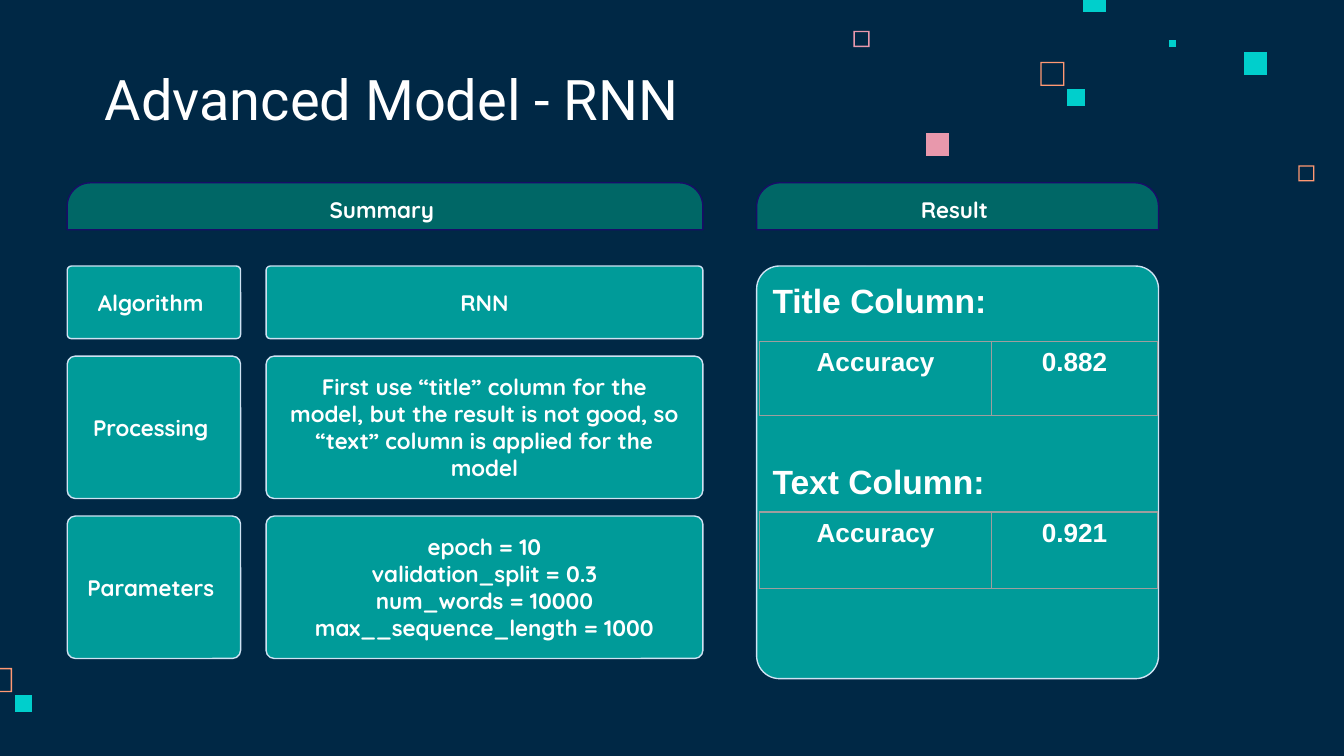
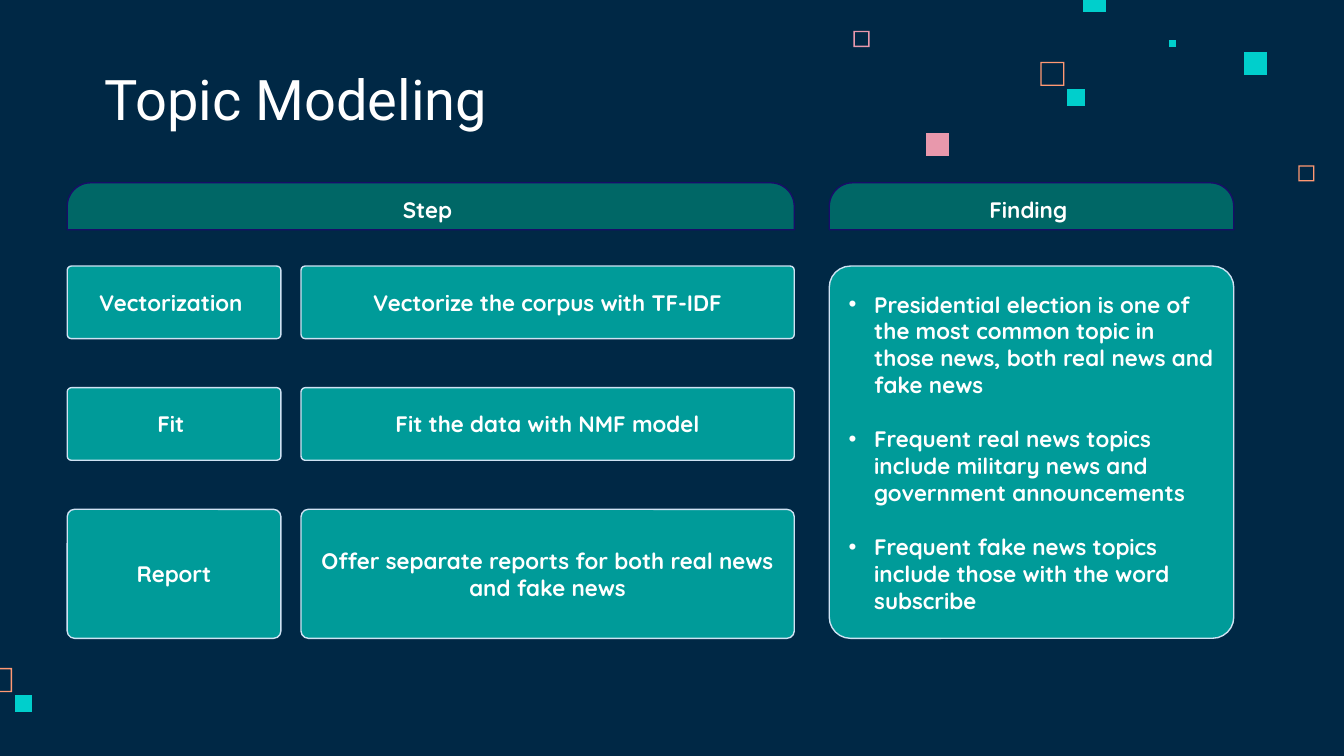
from dataclasses import dataclass
from typing import NamedTuple

import lxml.etree
import pptx
import pptx.dml.color
import pptx.enum.shapes
import pptx.enum.text
import pptx.oxml.ns
import pptx.util

SHAPE = pptx.enum.shapes.MSO_SHAPE
ALIGN = pptx.enum.text.PP_ALIGN
ANCHOR = pptx.enum.text.MSO_ANCHOR
SIZING = pptx.enum.text.MSO_AUTO_SIZE

# Shared look
WIDE = 10
HIGH = WIDE * 9 / 16
NAVY, DEEP, TEAL = "002845", "006766", "009B99"
PALE, INDIGO, GREY, WHITE = "CFE2F3", "190C68", "9E9E9E", "FFFFFF"
CYAN, PINK, CORAL = "00CFCC", "E898AC", "FF9973"

# Shared grid
LEFT, HEAD, TOP = 0.5, 1.36, 1.98
BAND = 0.35


class Box(NamedTuple):
    x: float
    y: float
    w: float
    h: float


class Font(NamedTuple):
    name: str
    size: float
    bold: bool = True


class Square(NamedTuple):
    x: float
    y: float
    side: float
    tint: str
    hollow: bool = False


TITLE = Font("Roboto", 30, False)
BODY = Font("Quicksand", 12)
LABEL = Font("Arial", 18)
CELL = Font("Arial", 14)

SQUARES = [
    Square(9.66, 1.23, 0.12, CORAL, True),
    Square(6.35, 0.23, 0.12, PINK, True),
    Square(7.74, 0.46, 0.18, CORAL, True),
    Square(8.7, 0.3, 0.05, CYAN),
    Square(8.06, -0.08, 0.17, CYAN),
    Square(9.26, 0.39, 0.17, CYAN),
    Square(7.94, 0.66, 0.13, CYAN),
    Square(6.89, 0.99, 0.17, PINK),
    Square(-0.09, 4.97, 0.18, CORAL, True),
    Square(0.11, 5.17, 0.13, CYAN),
]


@dataclass
class Score:
    label: str
    label_y: float
    value: str
    y: float
    h: float


@dataclass
class Page:
    title: str
    title_w: float
    heads: tuple[str, str]
    main_w: float
    cols: list[float]
    rows: list[float]
    foot: float
    cells: list[tuple[str, str]]
    side: Box


RNN = Page(
    "Advanced Model - RNN", 5.17, ("Summary ", "Result "),
    4.73, [1.29, 3.25], [0.54, 1.06, 1.06], 4.9,
    [
        ("Algorithm ", "RNN"),
        ("Processing ", "First use “title” column for the model, but the result "
         "is not good, so “text” column is applied for the model"),
        ("Parameters ", "epoch = 10\nvalidation_split = 0.3\n"
         "num_words = 10000\nmax__sequence_length = 1000"),
    ],
    Box(5.63, TOP, 2.99, 3.07),
)
SCORES = [
    Score("Title Column:", 1.98, "0.882", 2.54, 0.55),
    Score("Text Column:", 3.33, "0.921", 3.81, 0.57),
]

TOPICS = Page(
    "Topic Modeling", 6.03, ("Step ", "Finding "),
    5.41, [1.59, 3.67], [0.54, 0.54, 0.96], 4.75,
    [
        ("Vectorization ", "Vectorize the corpus with TF-IDF"),
        ("Fit ", "Fit the data with NMF model"),
        ("Report", "Offer separate reports for both real news and fake news"),
    ],
    Box(6.17, TOP, 3.01, 2.77),
)
FINDINGS = [
    "Presidential election is one of the most common topic in those news, "
    "both real news and fake news",
    "Frequent real news topics include military news and government announcements",
    "Frequent fake news topics include those with the word subscribe",
]


# Helpers
def color(code: str) -> pptx.dml.color.RGBColor:
    return pptx.dml.color.RGBColor.from_string(code)


def emu(size: float) -> int:
    return pptx.util.Inches(size)


def paint(fill, code: str) -> None:
    fill.solid()
    fill.fore_color.rgb = color(code)


def spread(start: float, end: float, sizes: list[float]) -> list[tuple[float, float]]:
    """Place sizes from start to end with equal gaps."""
    gap = (end - start - sum(sizes)) / (len(sizes) - 1)
    return [(start + sum(sizes[:i]) + i * gap, size) for i, size in enumerate(sizes)]


def write(frame, text: str, font: Font, align=ALIGN.CENTER) -> None:
    frame.text = text
    for para in frame.paragraphs:
        para.alignment = align
        for run in para.runs:
            run.font.name = font.name
            run.font.size = pptx.util.Pt(font.size)
            run.font.bold = font.bold
            run.font.color.rgb = color(WHITE)


def inset(frame, side: float = 0.1) -> None:
    frame.word_wrap = True
    frame.margin_left = frame.margin_right = emu(side)
    frame.margin_top = frame.margin_bottom = emu(0.1)


# Parts
def add_square(slide, square: Square):
    def ring(pad: float) -> list[tuple[int, int]]:
        x, y = square.x + pad, square.y + pad
        far = square.side - 2 * pad
        return [(emu(x + dx * far), emu(y + dy * far))
                for dx, dy in ((0, 0), (0, 1), (1, 1), (1, 0))]

    outer = ring(0)
    pen = slide.shapes.build_freeform(*outer[0])
    pen.add_line_segments(outer[1:], close=True)
    if square.hollow:
        inner = ring(0.01)[::-1]
        pen.move_to(*inner[0])
        pen.add_line_segments(inner[1:], close=True)
    shape = pen.convert_to_shape()
    shape.shadow.inherit = False
    paint(shape.fill, square.tint)
    shape.line.fill.background()
    return shape


def add_card(slide, kind, box: Box, fill: str, edge: str, corner: float,
             text: str, side: float):
    shape = slide.shapes.add_shape(kind, *map(emu, box))
    shape.shadow.inherit = False
    shape.adjustments[0] = corner
    paint(shape.fill, fill)
    shape.line.color.rgb = color(edge)
    shape.line.width = pptx.util.Pt(0.75)
    frame = shape.text_frame
    inset(frame, side)
    frame.vertical_anchor = ANCHOR.MIDDLE
    if text:
        write(frame, text, BODY)
    return shape


def add_head(slide, box: Box, text: str) -> None:
    add_card(slide, SHAPE.ROUND_2_SAME_RECTANGLE, box, DEEP, INDIGO, 0.5, text, 0)


def add_panel(slide, box: Box, text: str = "", side: float = 0.1):
    return add_card(slide, SHAPE.ROUNDED_RECTANGLE, box, TEAL, PALE, 0.057, text, side)


def add_page(deck, layout, page: Page):
    """Draw the title, heads and cards; return the slide and side panel."""
    slide = deck.slides.add_slide(layout)
    title = slide.shapes.title
    title.left, title.top, title.width, title.height = map(
        emu, (0.68, 0.45, page.title_w, 0.63))
    frame = title.text_frame
    inset(frame)
    frame.auto_size = SIZING.NONE
    frame.vertical_anchor = ANCHOR.BOTTOM
    write(frame, page.title, TITLE, ALIGN.LEFT)

    add_head(slide, Box(LEFT, HEAD, page.main_w, BAND), page.heads[0])
    add_head(slide, Box(page.side.x, HEAD, page.side.w, BAND), page.heads[1])

    cols = spread(LEFT, LEFT + page.main_w, page.cols)
    rows = spread(TOP, page.foot, page.rows)
    for i, (x, w) in enumerate(cols):
        for (y, h), texts in zip(rows, page.cells):
            add_panel(slide, Box(x, y, w, h), texts[i], 0.12 if i else 0.1)
    return slide, add_panel(slide, page.side)


def add_edges(cell) -> None:
    props = cell._tc.get_or_add_tcPr()
    for i, tag in enumerate(("a:lnL", "a:lnR", "a:lnT", "a:lnB")):
        line = lxml.etree.Element(pptx.oxml.ns.qn(tag), w=str(pptx.util.Pt(0.75)))
        fill = lxml.etree.SubElement(line, pptx.oxml.ns.qn("a:solidFill"))
        lxml.etree.SubElement(fill, pptx.oxml.ns.qn("a:srgbClr"), val=GREY)
        props.insert(i, line)


def add_score(slide, score: Score) -> None:
    x, widths = 5.65, (1.73, 1.23)
    wide = sum(widths)
    table = slide.shapes.add_table(
        1, 2, *map(emu, (x, score.y, wide, score.h))).table
    table.first_row = table.horz_banding = False
    for i, text in enumerate(("Accuracy", score.value)):
        table.columns[i].width = emu(widths[i])
        cell = table.cell(0, i)
        cell.fill.background()
        cell.margin_left = cell.margin_right = emu(0.1)
        cell.margin_top = cell.margin_bottom = emu(0.05)
        write(cell.text_frame, text, CELL)
        add_edges(cell)

    label = slide.shapes.add_textbox(*map(emu, (x, score.label_y, wide, 0.5)))
    inset(label.text_frame)
    label.text_frame.auto_size = SIZING.SHAPE_TO_FIT_TEXT
    write(label.text_frame, score.label, LABEL, ALIGN.LEFT)


def add_list(frame, items: list[str]) -> None:
    write(frame, "\n".join(items), BODY, ALIGN.LEFT)
    for i, para in enumerate(frame.paragraphs):
        para.space_before = pptx.util.Pt(14.5 if i else 0)
        props = para._p.get_or_add_pPr()
        props.set("marL", str(emu(0.19)))
        props.set("indent", str(emu(-0.19)))
        tint = lxml.etree.SubElement(props, pptx.oxml.ns.qn("a:buClr"))
        lxml.etree.SubElement(tint, pptx.oxml.ns.qn("a:srgbClr"), val=WHITE)
        lxml.etree.SubElement(props, pptx.oxml.ns.qn("a:buFont"), typeface="Arial")
        lxml.etree.SubElement(props, pptx.oxml.ns.qn("a:buChar"), char="•")


def main() -> None:
    deck = pptx.Presentation()
    deck.slide_width, deck.slide_height = emu(WIDE), emu(HIGH)
    paint(deck.slide_master.background.fill, NAVY)
    layout = deck.slide_layouts.get_by_name("Title Only")

    # Model slide
    slide, _ = add_page(deck, layout, RNN)
    for score in SCORES:
        add_score(slide, score)

    # Squares sit on the layout, so both slides share them
    for square in SQUARES:
        layout.shapes.element.append(add_square(slide, square).element)

    # Topic slide
    _, panel = add_page(deck, layout, TOPICS)
    add_list(panel.text_frame, FINDINGS)

    deck.save("out.pptx")


if __name__ == "__main__":
    main()
